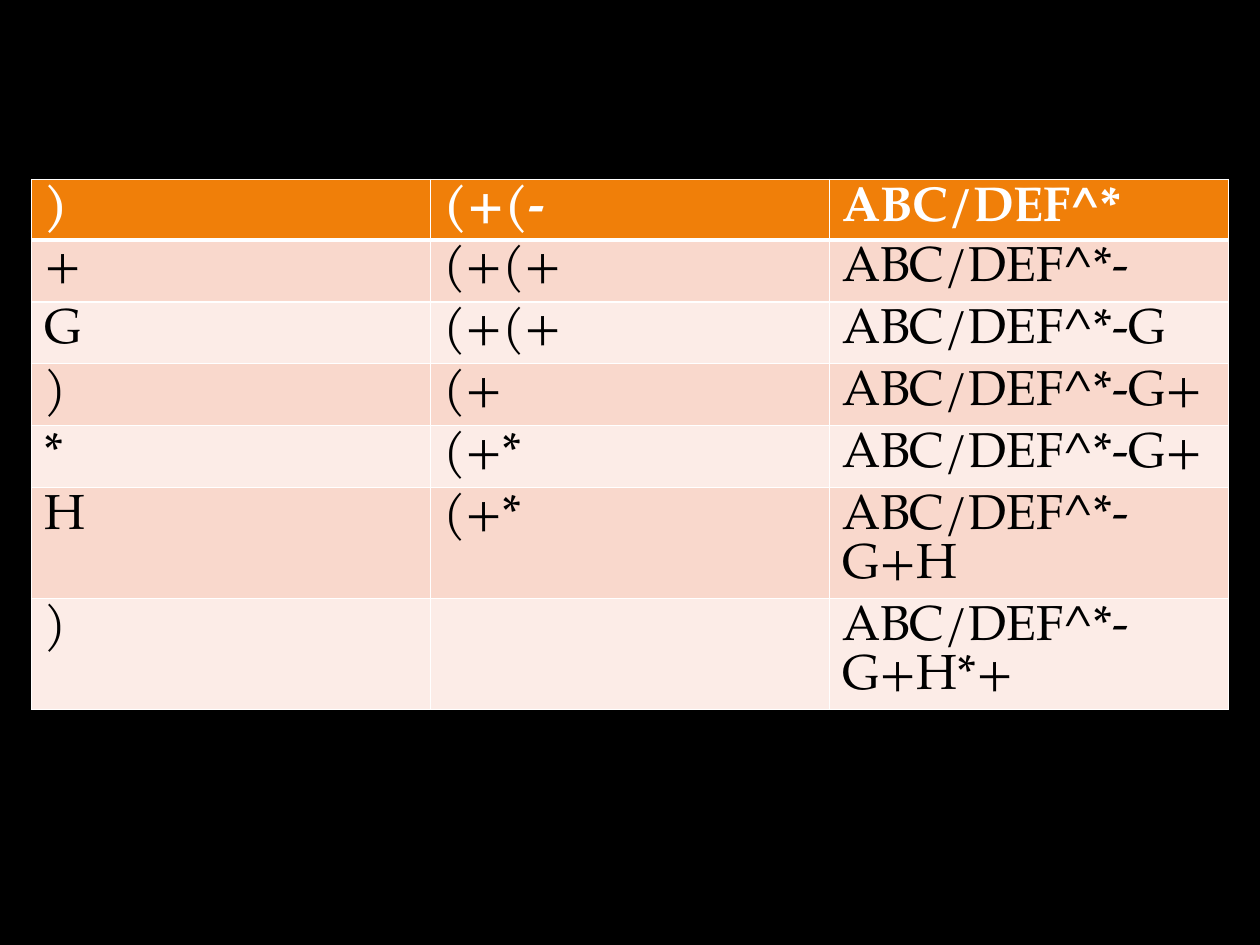
from typing import NamedTuple

from lxml import etree
from pptx import Presentation
from pptx.dml.color import RGBColor
from pptx.oxml.ns import qn
from pptx.util import Inches, Pt

BLACK = RGBColor(0x00, 0x00, 0x00)
WHITE = RGBColor(0xFF, 0xFF, 0xFF)
ORANGE = RGBColor(0xF0, 0x7F, 0x09)
PINK = RGBColor(0xF9, 0xD8, 0xCC)
PALE_PINK = RGBColor(0xFC, 0xEC, 0xE7)

FONT = "TeX Gyre Pagella"
BLANK_LAYOUT = 6
THIN, THICK = 1, 3
ROW_HEIGHT = 0.41


class Step(NamedTuple):
    symbol: str
    stack: str
    postfix: str


STEPS = [
    Step(")", "(+(-", "ABC/DEF^*"),
    Step("+", "(+(+", "ABC/DEF^*-"),
    Step("G", "(+(+", "ABC/DEF^*-G"),
    Step(")", "(+", "ABC/DEF^*-G+"),
    Step("*", "(+*", "ABC/DEF^*-G+"),
    Step("H", "(+*", "ABC/DEF^*-G+H"),
    Step(")", "", "ABC/DEF^*-G+H*+"),
]


def set_borders(cell, top: float, bottom: float) -> None:
    """Give the cell white borders; call before filling, as the schema puts lines first."""
    properties = cell._tc.get_or_add_tcPr()
    for tag, width in (("lnL", THIN), ("lnR", THIN), ("lnT", top), ("lnB", bottom)):
        line = etree.SubElement(properties, qn(f"a:{tag}"), w=str(Pt(width)))
        fill = etree.SubElement(line, qn("a:solidFill"))
        etree.SubElement(fill, qn("a:srgbClr"), val=str(WHITE))


def write_text(cell, text: str, *, color: RGBColor, bold: bool, size: float = 28) -> None:
    paragraph = cell.text_frame.paragraphs[0]
    paragraph.font.size = Pt(size)
    if not text:
        return
    run = paragraph.add_run()
    run.text = text
    run.font.name = FONT
    run.font.size = Pt(size)
    run.font.bold = bold
    run.font.color.rgb = color


def add_step_table(slide, steps: list[Step], left: int, top: int, width: int) -> None:
    row_height = Inches(ROW_HEIGHT)
    columns = len(Step._fields)
    table = slide.shapes.add_table(
        len(steps), columns, left, top, width, row_height * len(steps)
    ).table
    for row, step in enumerate(steps):
        is_header = row == 0
        fill_color = ORANGE if is_header else (PALE_PINK, PINK)[row % 2]
        for column, text in enumerate(step):
            cell = table.cell(row, column)
            set_borders(
                cell,
                top=THICK if row == 1 else THIN,
                bottom=THICK if is_header else THIN,
            )
            cell.fill.solid()
            cell.fill.fore_color.rgb = fill_color
            write_text(cell, text, color=WHITE if is_header else BLACK, bold=is_header)


def main() -> None:
    presentation = Presentation()
    presentation.slide_width = Inches(10)
    presentation.slide_height = Inches(7.5)
    slide = presentation.slides.add_slide(presentation.slide_layouts[BLANK_LAYOUT])
    slide.background.fill.solid()
    slide.background.fill.fore_color.rgb = BLACK

    margin = int(presentation.slide_width * 0.025)
    add_step_table(
        slide,
        STEPS,
        left=margin,
        top=int(presentation.slide_height * 0.19),
        width=presentation.slide_width - 2 * margin,
    )
    presentation.save("out.pptx")


if __name__ == "__main__":
    main()
